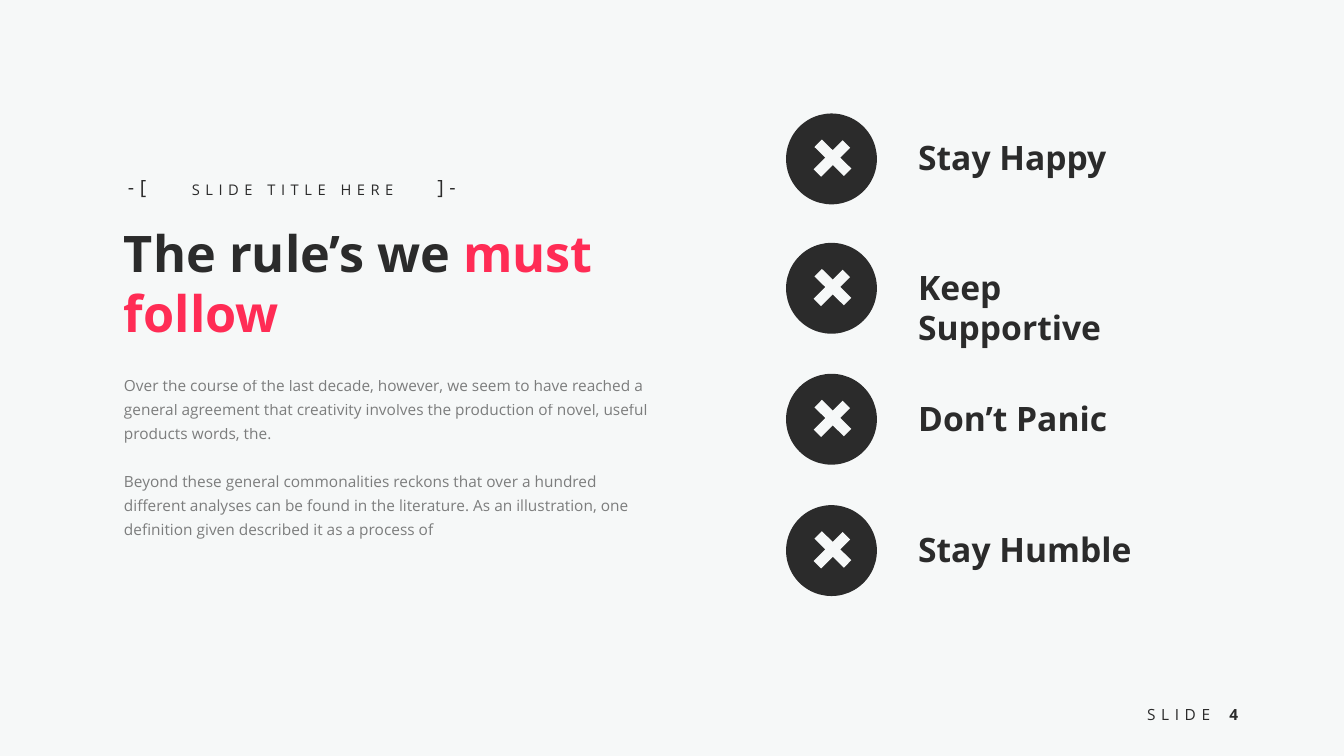
from dataclasses import dataclass
from typing import NamedTuple

from lxml.etree import SubElement
from pptx import Presentation
from pptx.dml.color import RGBColor
from pptx.enum.shapes import MSO_CONNECTOR, MSO_SHAPE
from pptx.enum.text import MSO_ANCHOR, MSO_AUTO_SIZE, PP_ALIGN
from pptx.oxml.ns import qn
from pptx.util import Cm, Pt


@dataclass(frozen=True)
class Theme:
    font: str = "Open Sans"
    paper: str = "F6F8F8"
    ink: str = "2B2B2B"
    pink: str = "FF2C55"
    head: float = 36
    rule: float = 24
    mark: float = 14
    body: float = 11
    tag: float = 10.5
    stroke: float = 7.5
    track: int = 400


class Box(NamedTuple):
    left: float
    top: float
    width: float
    height: float


class Label(NamedTuple):
    text: str
    box: Box
    size: float
    track: int = 0
    bold: bool = False
    wrap: bool = False


class Rule(NamedTuple):
    text: str
    top: float


THEME = Theme()
DISC = 2.29
DISC_LEFT = 19.81
# Ends of the two cross strokes, measured from the disc's corner
CROSS = [(1.52, 0.77, 0.79, 1.5), (1.55, 1.48, 0.81, 0.75)]

LABELS = [
    Label("SLIDE TITLE HERE", Box(4.47, 4.42, 5.82, 0.74), THEME.tag, THEME.track),
    Label("-[", Box(2.87, 4.29, 1.17, 0.86), THEME.mark, THEME.track),
    Label("]-", Box(10.67, 4.29, 1.17, 0.86), THEME.mark, THEME.track),
    Label("SLIDE", Box(28.6, 17.65, 2.21, 0.74), THEME.body, THEME.track),
    Label("4", Box(30.5, 17.42, 1.19, 1.14), THEME.body, bold=True, wrap=True),
]
RULES = [
    Rule("Stay Happy", 2.86),
    Rule("Keep Supportive", 6.12),
    Rule("Don’t Panic", 9.42),
    Rule("Stay Humble", 12.73),
]
BODY = [
    "Over the course of the last decade, however, we seem to have reached a "
    "general agreement that creativity involves the production of novel, useful "
    "products words, the.",
    "Beyond these general commonalities reckons that over a hundred different "
    "analyses can be found in the literature. As an illustration, one definition "
    "given described it as a process of",
]


def paint(text: str, para, *, size: float, color: str = THEME.ink,
          bold: bool = False, track: int = 0, alpha: int = 100) -> None:
    """Add a formatted run to a paragraph."""
    run = para.add_run()
    run.text = text
    font = run.font
    font.name, font.size, font.bold = THEME.font, Pt(size), bold
    font.color.rgb = RGBColor.from_string(color)
    props = run._r.get_or_add_rPr()
    if track:
        props.set("spc", str(track))
    if alpha < 100:
        tone = props.find(".//" + qn("a:srgbClr"))
        SubElement(tone, qn("a:alpha")).set("val", str(alpha * 1000))


def place(shape, box: Box) -> None:
    shape.left, shape.top, shape.width, shape.height = map(Cm, box)


def frame(shape, wrap: bool = True, anchor=MSO_ANCHOR.TOP):
    """Set up a shape's text frame and return it."""
    text = shape.text_frame
    text.word_wrap = wrap
    text.auto_size = MSO_AUTO_SIZE.NONE
    text.vertical_anchor = anchor
    return text


def add_label(shapes, item: Label) -> None:
    anchor = MSO_ANCHOR.MIDDLE if item.wrap else MSO_ANCHOR.TOP
    text = frame(shapes.add_textbox(*map(Cm, item.box)), item.wrap, anchor)
    para = text.paragraphs[0]
    para.alignment = PP_ALIGN.CENTER
    paint(item.text, para, size=item.size, bold=item.bold, track=item.track)


def add_rule(shapes, rule: Rule) -> None:
    """Draw a disc with a cross and its label as one group."""
    group = shapes.add_group_shape().shapes
    disc = group.add_shape(MSO_SHAPE.OVAL, Cm(DISC_LEFT), Cm(rule.top),
                           Cm(DISC), Cm(DISC))
    disc.shadow.inherit = False
    disc.fill.solid()
    disc.fill.fore_color.rgb = RGBColor.from_string(THEME.ink)
    disc.line.fill.background()
    for x1, y1, x2, y2 in CROSS:
        line = group.add_connector(
            MSO_CONNECTOR.STRAIGHT, Cm(DISC_LEFT + x1), Cm(rule.top + y1),
            Cm(DISC_LEFT + x2), Cm(rule.top + y2))
        line.line.width = Pt(THEME.stroke)
        line.line.color.rgb = RGBColor.from_string(THEME.paper)
        SubElement(line._element.spPr, qn("a:effectLst"))
    box = Box(22.89, rule.top + 0.47, 7.37, 1.27)
    text = frame(group.add_textbox(*map(Cm, box)))
    paint(rule.text, text.paragraphs[0], size=THEME.rule, bold=True)


def add_title(shape) -> None:
    place(shape, Box(2.87, 5.46, 14.02, 3.33))
    para = frame(shape).paragraphs[0]
    para.alignment = PP_ALIGN.LEFT
    paint("The rule’s we ", para, size=THEME.head, bold=True)
    paint("must follow", para, size=THEME.head, bold=True, color=THEME.pink)


def add_body(shape) -> None:
    place(shape, Box(2.87, 9.22, 14.02, 4.55))
    text = frame(shape)
    for index, words in enumerate(BODY):
        para = text.add_paragraph() if index else text.paragraphs[0]
        para.alignment = PP_ALIGN.LEFT
        para.line_spacing = 1.3
        para.space_before = Pt(17 if index else 0)
        props = para._p.get_or_add_pPr()
        props.set("marL", "0")
        props.set("indent", "0")
        SubElement(props, qn("a:buNone"))
        paint(words, para, size=THEME.body, alpha=60)


def main() -> None:
    deck = Presentation()
    deck.slide_width, deck.slide_height = Cm(33.87), Cm(19.05)
    slide = deck.slides.add_slide(deck.slide_layouts[1])
    fill = slide.background.fill
    fill.solid()
    fill.fore_color.rgb = RGBColor.from_string(THEME.paper)

    # Left column
    add_title(slide.shapes.title)
    add_body(slide.placeholders[1])

    # Tag line and footer
    for item in LABELS:
        add_label(slide.shapes, item)

    # Right column
    for rule in RULES:
        add_rule(slide.shapes, rule)
    deck.save("out.pptx")


main()
